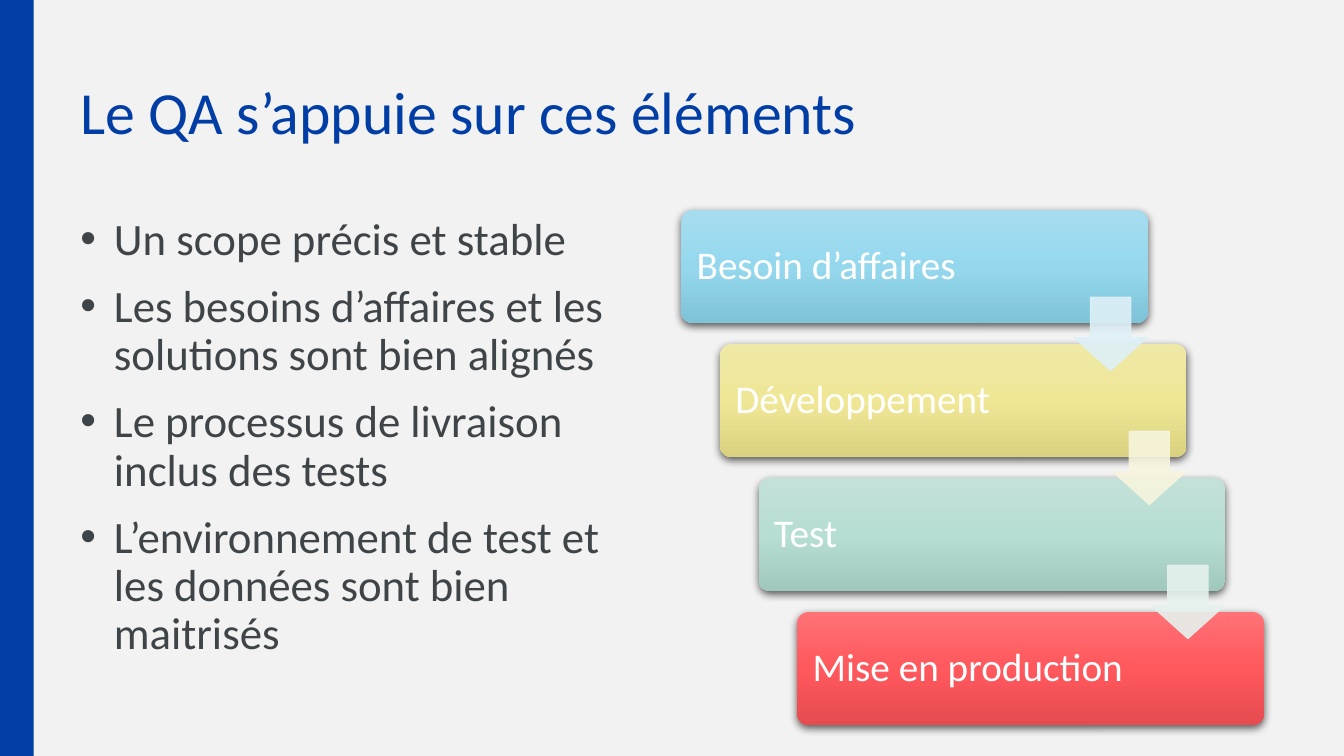
from copy import deepcopy

from lxml import etree
from pptx import Presentation
from pptx.dml.color import RGBColor
from pptx.enum.shapes import MSO_SHAPE
from pptx.enum.text import MSO_ANCHOR, PP_ALIGN
from pptx.oxml import parse_xml
from pptx.oxml.ns import nsdecls, qn
from pptx.util import Pt

RECT = MSO_SHAPE.RECTANGLE
ROUNDED = MSO_SHAPE.ROUNDED_RECTANGLE
DOWN_ARROW = MSO_SHAPE.DOWN_ARROW
TOP, MIDDLE = MSO_ANCHOR.TOP, MSO_ANCHOR.MIDDLE
LEFT = PP_ALIGN.LEFT

COLORS = {"bg": "F2F2F2", "blue": "003DA5", "text": "3E4447", "white": "FFFFFF"}

# Label, gradient of the box, colour of the arrow that leaves it
STEPS = [
    ("Besoin d’affaires", ("A6DCEE", "95D8EE", "7FC3D9"), "DEF0F7"),
    ("Développement", ("EFE8A7", "EFE796", "DAD280"), "F7F5DE"),
    ("Test", ("C3E1D8", "B7DED3", "A0C8BC"), "E6F2EE"),
    ("Mise en production", ("FF7276", "FF585D", "E54C50"), None),
]
BULLETS = [
    "Un scope précis et stable",
    "Les besoins d’affaires et les solutions sont bien alignés",
    "Le processus de livraison inclus des tests",
    "L’environnement de test et les données sont bien maitrisés",
]
BOX_X, BOX_Y, BOX_W, BOX_H = 365, 112.5, 250, 60.5
ARROW_X, ARROW_Y, ARROW_SIZE = 575.3, 159.2, 39.4
STEP_X, STEP_Y = 20.7, 71.8

SHADOW = (
    f'<a:outerShdw {nsdecls("a")} blurRad="{Pt(4.5)}" dist="{Pt(1.5)}" '
    'dir="5400000" algn="ctr" rotWithShape="0">'
    '<a:srgbClr val="000000"><a:alpha val="63000"/></a:srgbClr></a:outerShdw>'
)


def write(sp, lines, size, color, anchor, bullet=False):
    tf = sp.text_frame
    tf.word_wrap = True
    tf.vertical_anchor = anchor
    for i, line in enumerate(lines):
        p = tf.paragraphs[0] if i == 0 else tf.add_paragraph()
        p.alignment = LEFT
        p.line_spacing = 0.9
        if i:
            p.space_before = Pt(10)
        if bullet:
            pPr = p._p.get_or_add_pPr()
            pPr.set("marL", str(Pt(18)))
            pPr.set("indent", str(Pt(-18)))
            etree.SubElement(pPr, qn("a:buFont")).set("typeface", "Arial")
            etree.SubElement(pPr, qn("a:buChar")).set("char", "•")
        r = p.add_run()
        r.text = line
        for name, value in {"name": "Calibri", "size": Pt(size)}.items():
            setattr(r.font, name, value)
        r.font.color.rgb = RGBColor.from_string(color)


prs = Presentation()
prs.slide_width, prs.slide_height = Pt(720), Pt(405)
s = prs.slides.add_slide(prs.slide_layouts[6])
s.background.fill.solid()
s.background.fill.fore_color.rgb = RGBColor.from_string(COLORS["bg"])

# Side band
band = s.shapes.add_shape(RECT, 0, 0, Pt(18), Pt(405))
band.shadow.inherit = False
band.fill.solid()
band.fill.fore_color.rgb = RGBColor.from_string(COLORS["blue"])
band.line.fill.background()

# Title and bullet list
title = s.shapes.add_textbox(Pt(36), Pt(22.3), Pt(641), Pt(78.5))
write(title, ["Le QA s’appuie sur ces éléments"], 32, COLORS["blue"], MIDDLE)
body = s.shapes.add_textbox(Pt(36), Pt(112.5), Pt(312.5), Pt(275.8))
write(body, BULLETS, 24, COLORS["text"], TOP, bullet=True)

# Staircase of boxes
for i, (label, gradient, _) in enumerate(STEPS):
    sp = s.shapes.add_shape(ROUNDED, Pt(BOX_X + i * STEP_X), Pt(BOX_Y + i * STEP_Y),
                            Pt(BOX_W), Pt(BOX_H))
    sp.adjustments[0] = 0.1
    sp.line.fill.background()
    sp.fill.gradient()
    sp.fill.gradient_angle = 270
    stops = sp._element.spPr.find(".//" + qn("a:gsLst"))
    stops.append(deepcopy(stops[-1]))
    for stop, position, color in zip(sp.fill.gradient_stops, (0, 0.5, 1), gradient):
        stop.position = position
        stop.color.rgb = RGBColor.from_string(color)
    sp.shadow.inherit = False
    sp._element.spPr.find(qn("a:effectLst")).append(parse_xml(SHADOW))
    sp.text_frame.margin_left = sp.text_frame.margin_right = Pt(6.5)
    write(sp, [label], 21, COLORS["white"], MIDDLE)

# Arrows from each box to the next
for i, (_, _, color) in enumerate(STEPS[:-1]):
    sp = s.shapes.add_shape(DOWN_ARROW, Pt(ARROW_X + i * STEP_X), Pt(ARROW_Y + i * STEP_Y),
                            Pt(ARROW_SIZE), Pt(ARROW_SIZE))
    sp.adjustments[0], sp.adjustments[1] = 0.55, 0.45
    sp.shadow.inherit = False
    sp.line.width = Pt(0.5)
    for fill in (sp.fill, sp.line.fill):
        fill.solid()
        fill.fore_color.rgb = RGBColor.from_string(color)
    for clr in sp._element.spPr.iter(qn("a:srgbClr")):
        etree.SubElement(clr, qn("a:alpha")).set("val", "90000")

prs.save("out.pptx")
